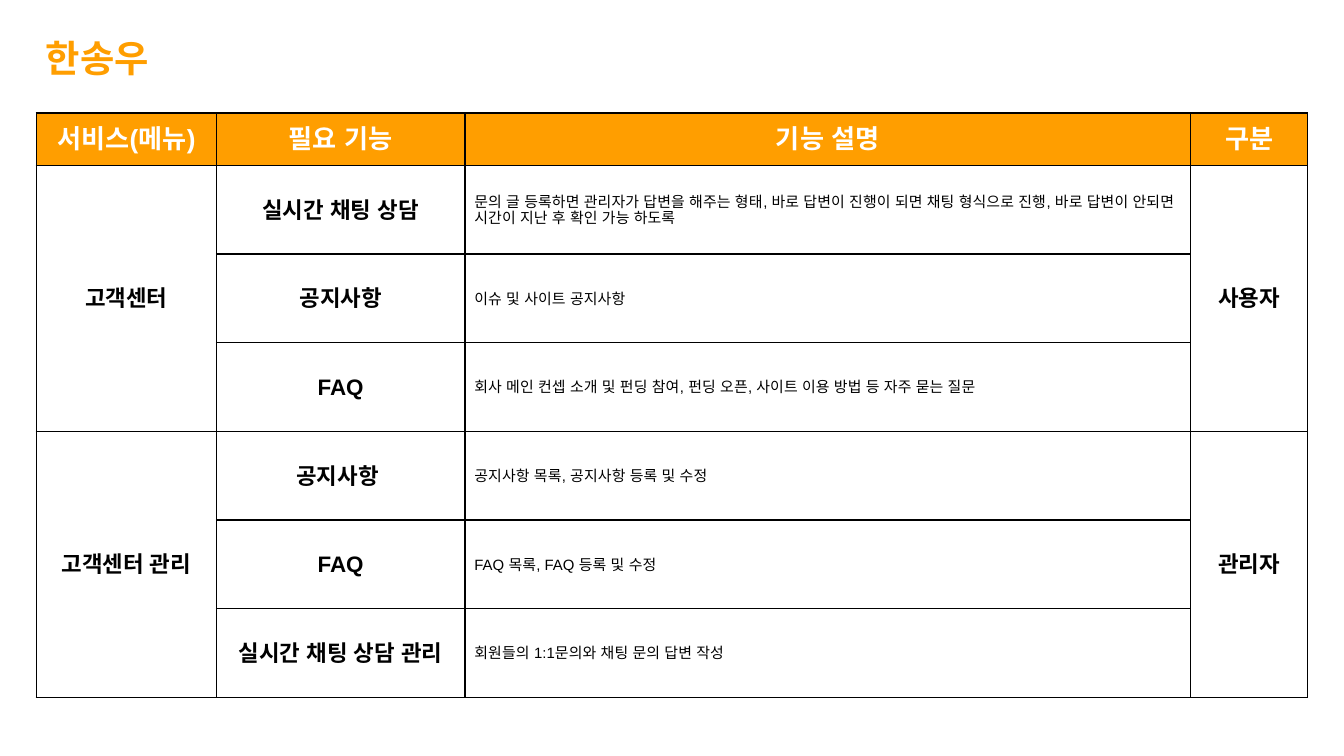
from dataclasses import dataclass

from lxml.etree import SubElement as Sub
from pptx import Presentation
from pptx.dml.color import RGBColor as Rgb
from pptx.enum.shapes import MSO_SHAPE as Kind
from pptx.enum.text import MSO_ANCHOR as Anchor, MSO_AUTO_SIZE as Fit, PP_ALIGN as Align
from pptx.oxml.ns import qn
from pptx.util import Inches as In, Pt


@dataclass(frozen=True)
class Theme:
    font: str = "Arial"
    accent: str = "FF9E00"
    back: str = "434343"
    dark: str = "000000"
    light: str = "FFFFFF"
    title: int = 20
    head: int = 14
    label: int = 12
    body: int = 8
    rule: float = 0.75


T = Theme()
WIDE = 10
HIGH = WIDE * 9 / 16
COLS = [1.34, 1.85, 5.4, 0.87]
HEAD_H, ROW_H = 0.39, 0.66
HEADS = ["서비스(메뉴)", "필요 기능", "기능 설명", "구분"]
# Each group: service, user type, and its (feature, description) rows
GROUPS = [
    ("고객센터", "사용자", [
        ("실시간 채팅 상담",
         "문의 글 등록하면 관리자가 답변을 해주는 형태, 바로 답변이 진행이 되면 "
         "채팅 형식으로 진행, 바로 답변이 안되면 시간이 지난 후 확인 가능 하도록"),
        ("공지사항", "이슈 및 사이트 공지사항"),
        ("FAQ", "회사 메인 컨셉 소개 및 펀딩 참여, 펀딩 오픈, "
                "사이트 이용 방법 등 자주 묻는 질문"),
    ]),
    ("고객센터 관리", "관리자", [
        ("공지사항 ", "공지사항 목록, 공지사항 등록 및 수정"),
        ("FAQ", "FAQ 목록, FAQ 등록 및 수정"),
        ("실시간 채팅 상담 관리", "회원들의 1:1문의와 채팅 문의 답변 작성"),
    ]),
]


def paint(fill, color):
    fill.solid()
    fill.fore_color.rgb = Rgb.from_string(color)


def style(frame, size, color, bold=True, align=Align.CENTER):
    for para in frame.paragraphs:
        para.alignment = align
        for run in para.runs:
            font = run.font
            font.name, font.size, font.bold = T.font, Pt(size), bold
            font.color.rgb = Rgb.from_string(color)
            for script in ("ea", "cs"):
                Sub(run._r.get_or_add_rPr(), qn(f"a:{script}"), typeface=T.font)


def add_panel(slide):
    """Cover the dark background, behind everything else."""
    panel = slide.shapes.add_shape(Kind.RECTANGLE, 0, 0, In(WIDE), In(HIGH))
    panel.shadow.inherit = False
    paint(panel.fill, T.light)
    panel.line.fill.background()
    slide.shapes.title._element.addprevious(panel._element)


def add_title(slide, text):
    title = slide.shapes.title
    title.left, title.top = In(0.24), In(0.21)
    title.width, title.height = In(1.22), In(0.44)
    frame = title.text_frame
    frame.text = text
    frame.auto_size = Fit.NONE
    frame.vertical_anchor = Anchor.TOP
    style(frame, T.title, T.accent, align=Align.LEFT)


def frame_cell(cell):
    """Draw the four borders; call before the fill, which must follow them."""
    props = cell._tc.get_or_add_tcPr()
    for side in "LRTB":
        line = Sub(props, qn(f"a:ln{side}"), w=str(Pt(T.rule)))
        Sub(Sub(line, qn("a:solidFill")), qn("a:srgbClr"), val=T.dark)


def base_cell(cell, fill=None):
    frame_cell(cell)
    cell.margin_left = cell.margin_right = cell.margin_top = In(0.01)
    cell.margin_bottom = 0
    cell.vertical_anchor = Anchor.MIDDLE
    if fill:
        paint(cell.fill, fill)
    else:
        cell.fill.background()


def put_label(cell, text, size=T.label, color=T.dark):
    cell.text_frame.text = text
    style(cell.text_frame, size, color)


def put_note(cell, text):
    cell.margin_left = In(0.07)
    cell.text_frame.text = text
    style(cell.text_frame, T.body, T.dark, bold=False, align=Align.LEFT)


def add_grid(slide):
    count = sum(len(items) for _, _, items in GROUPS)
    shape = slide.shapes.add_table(
        count + 1, len(COLS), In(0.27), In(0.84),
        In(sum(COLS)), In(HEAD_H + count * ROW_H))
    grid = shape.table
    grid.first_row = grid.horz_banding = False
    for col, width in zip(grid.columns, COLS):
        col.width = In(width)
    for index, row in enumerate(grid.rows):
        row.height = In(ROW_H if index else HEAD_H)
        for cell in row.cells:
            base_cell(cell, None if index else T.accent)
    return grid


def fill_grid(grid):
    for col, text in enumerate(HEADS):
        put_label(grid.cell(0, col), text, T.head, T.light)
    top = 1
    for service, user, items in GROUPS:
        last = top + len(items) - 1
        for col, text in ((0, service), (3, user)):
            grid.cell(top, col).merge(grid.cell(last, col))
            put_label(grid.cell(top, col), text)
        for row, (feature, note) in enumerate(items, top):
            put_label(grid.cell(row, 1), feature)
            put_note(grid.cell(row, 2), note)
        top = last + 1


def main():
    deck = Presentation()
    deck.slide_width, deck.slide_height = In(WIDE), In(HIGH)
    slide = deck.slides.add_slide(deck.slide_layouts[5])
    paint(slide.background.fill, T.back)
    add_panel(slide)
    add_title(slide, "한송우")
    fill_grid(add_grid(slide))
    deck.save("out.pptx")


if __name__ == "__main__":
    main()
